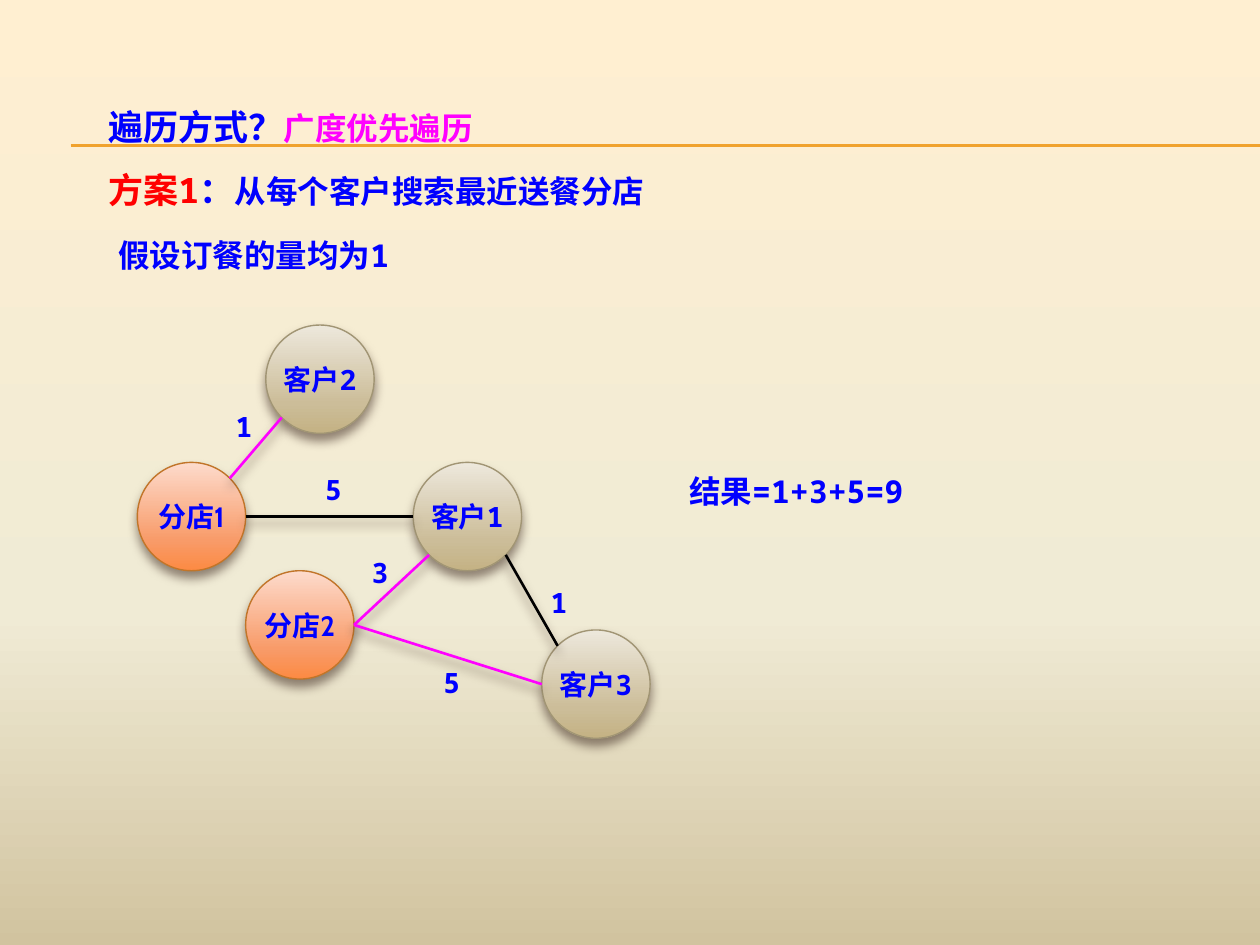
import math
from lxml import etree
from pptx import Presentation
from pptx import util as u
from pptx.dml.color import RGBColor
from pptx.enum import shapes, text
from pptx.oxml.ns import qn

Inches, Pt = u.Inches, u.Pt
rgb = RGBColor.from_string
BLUE, PINK, RED, BLACK = "0000FF", "FF00FF", "FF0000", "000000"
FONT = "Noto Sans Mono"
SHADOW = {"blurRad": Pt(6), "dist": Pt(4), "dir": 90 * 60000, "rotWithShape": 0}


def add_color(parent, color, alpha=None):
    node = etree.SubElement(parent, qn("a:srgbClr"), val=color)
    if alpha:
        etree.SubElement(node, qn("a:alpha"), val=str(alpha * 1000))


def paint_gradient(fill, element, stops):
    fill.gradient()
    fill.gradient_angle = 270
    stop_list = next(element.iter(qn("a:gsLst")))
    for old in list(stop_list):
        stop_list.remove(old)
    for position, color in stops:
        add_color(etree.SubElement(stop_list, qn("a:gs"), pos=str(position * 1000)), color)


deck = Presentation()
deck.slide_width, deck.slide_height = Inches(10), Inches(7.5)
page = deck.slides.add_slide(deck.slide_layouts[5])
paint_gradient(page.background.fill, page.element,
               [(0, "FFEFD1"), (65, "F0EBD5"), (100, "D1C39F")])

# Title: each paragraph is a list of (words, size, colour)
title = page.shapes.title
title.left, title.top, title.width, title.height = map(Inches, (0.86, 0.67, 8.52, 1.01))
frame = title.text_frame
frame.margin_left = frame.margin_right = frame.margin_top = frame.margin_bottom = 0
frame.vertical_anchor = text.MSO_ANCHOR.TOP
frame.auto_size = text.MSO_AUTO_SIZE.NONE
frame.word_wrap = True
heading = [
    [("遍历方式？", 20, BLUE), ("广度优先遍历", 18, PINK)],
    [("方案1", 20, RED), ("：", 20, BLUE), ("从每个客户搜索最近送餐分店", 18, BLUE)],
]
for index, spans in enumerate(heading):
    para = frame.paragraphs[0] if index == 0 else frame.add_paragraph()
    para.alignment = text.PP_ALIGN.LEFT
    para.line_spacing = 1.5
    para.font.name, para.font.bold = FONT, True
    for words, size, color in spans:
        span = para.add_run()
        span.text = words
        span.font.size = Pt(size)
        span.font.color.rgb = rgb(color)

# Nodes of the graph: name, number, number font, left, top
SHOP = ([(0, "FDDBCC"), (72, "F89B69"), (100, "FC8A43")], "C17529")
CUSTOMER = ([(0, "EDE8DC"), (72, "CCBD99"), (100, "C4B284")], "A19574")
DIAMETER = 0.86
nodes = [
    ("客户", "2", FONT, 2.11, 2.58),
    ("分店", "1", "Cabin", 1.09, 3.67),
    ("分店", "2", "Cabin", 1.95, 4.53),
    ("客户", "1", FONT, 3.28, 3.67),
    ("客户", "3", FONT, 4.3, 5),
]
shadowed = []
centers = {}
for name, number, number_font, left, top in nodes:
    stops, outline = SHOP if name == "分店" else CUSTOMER
    circle = page.shapes.add_shape(shapes.MSO_SHAPE.OVAL, Inches(left), Inches(top),
                                   Inches(DIAMETER), Inches(DIAMETER))
    circle.shadow.inherit = False
    paint_gradient(circle.fill, circle.element, stops)
    circle.line.color.rgb = rgb(outline)
    circle.line.width = Pt(0.79)
    frame = circle.text_frame
    frame.margin_left = frame.margin_right = 0
    frame.vertical_anchor = text.MSO_ANCHOR.MIDDLE
    para = frame.paragraphs[0]
    para.alignment = text.PP_ALIGN.CENTER
    para.font.size, para.font.bold = Pt(16), True
    for words, font in ((name, FONT), (number, number_font)):
        span = para.add_run()
        span.text = words
        span.font.name = font
        span.font.color.rgb = rgb(BLUE)
    centers[name + number] = (left + DIAMETER / 2, top + DIAMETER / 2)
    shadowed.append(circle)

# Edges: each end is a node and the angle where the line meets its circle
edges = [
    ("分店1", 0, "客户1", 180, BLACK),
    ("分店2", 0, "客户1", 135, PINK),
    ("客户1", 45, "客户3", 225, BLACK),
    ("客户2", 135, "分店1", 315, PINK),
    ("分店2", 0, "客户3", 180, PINK),
]
lines = []
for start, start_angle, end, end_angle, color in edges:
    ends = []
    for node, angle in ((start, start_angle), (end, end_angle)):
        x, y = centers[node]
        turn = math.radians(angle)
        ends += [x + DIAMETER / 2 * math.cos(turn), y + DIAMETER / 2 * math.sin(turn)]
    lines.append((ends, color, 1.5, True))

# Double rule under the heading
lines += [((0.56, y, 10, y), "F0A22E", 0.75, False) for y in (1.15, 1.16)]

for ends, color, width, has_shadow in lines:
    line = page.shapes.add_connector(shapes.MSO_CONNECTOR.STRAIGHT, *map(Inches, ends))
    line.line.color.rgb = rgb(color)
    line.line.width = Pt(width)
    effects = etree.SubElement(line.element.spPr, qn("a:effectLst"))
    if has_shadow:
        shadowed.append(line)

# Soft shadow below circles and edges
for item in shadowed:
    effects = item.element.spPr.find(qn("a:effectLst"))
    shadow = etree.SubElement(effects, qn("a:outerShdw"),
                              {key: str(value) for key, value in SHADOW.items()})
    add_color(shadow, "4E3B30", 60)

# Edge weights and the two remarks: words, left, top, width, height, size
notes = [(weight, left, top, 0.23, 0.27, 16) for weight, left, top in (
    ("5", 2.58, 3.75), ("3", 2.95, 4.41), ("1", 1.87, 3.25),
    ("1", 4.37, 4.65), ("5", 3.52, 5.28))]
notes += [("假设订餐的量均为1", 0.94, 1.87, 3.83, 0.3, 18),
          ("结果=1+3+5=9", 5.47, 3.75, 2.03, 0.3, 18)]
for words, left, top, width, height, size in notes:
    box = page.shapes.add_textbox(*map(Inches, (left, top, width, height)))
    frame = box.text_frame
    frame.word_wrap = True
    frame.margin_left = frame.margin_right = frame.margin_top = frame.margin_bottom = 0
    para = frame.paragraphs[0]
    para.text = words
    para.font.name, para.font.size, para.font.bold = FONT, Pt(size), True
    para.font.color.rgb = rgb(BLUE)

deck.save("out.pptx")
